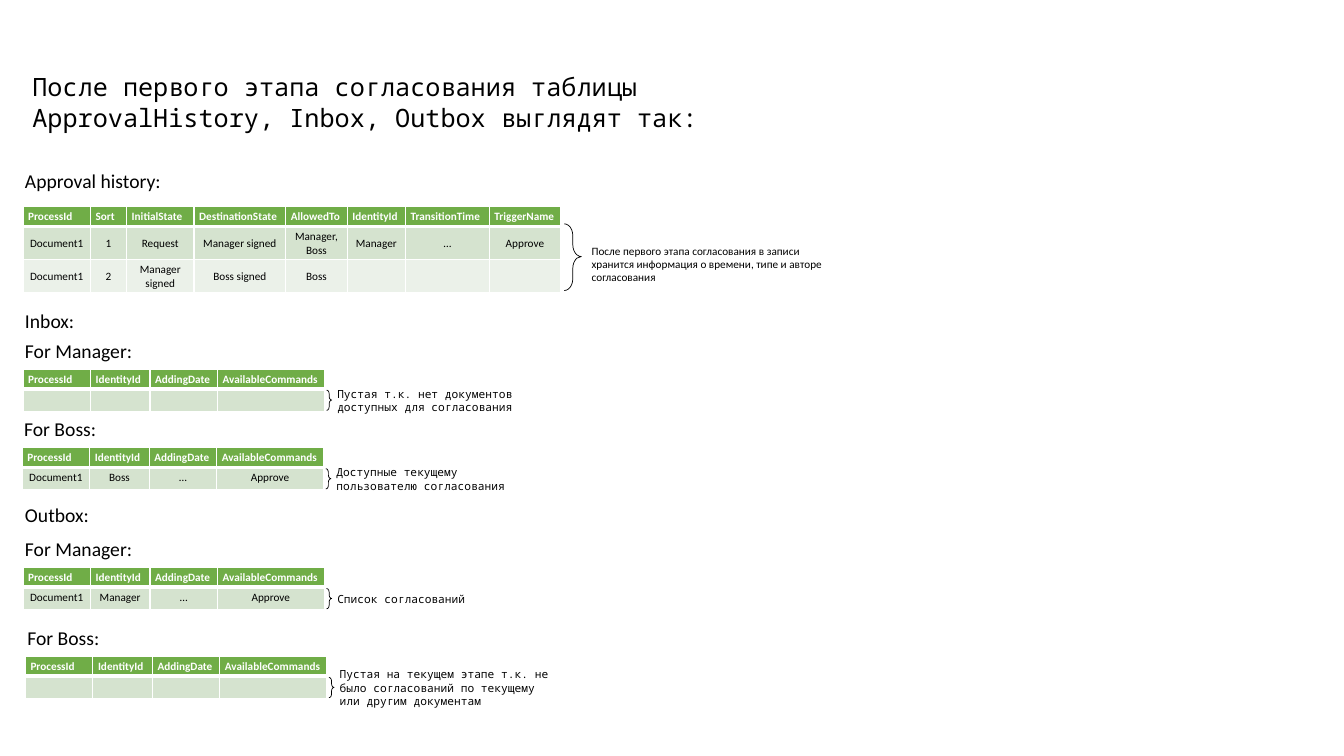
"""Builds the slide showing the approval tables after the first approval stage."""
import dataclasses

import lxml.etree
import pptx
import pptx.dml.color
import pptx.enum.shapes
import pptx.enum.text
import pptx.oxml.ns
import pptx.util

Cm = pptx.util.Cm
Pt = pptx.util.Pt
Anchor = pptx.enum.text.MSO_ANCHOR
Align = pptx.enum.text.PP_ALIGN

TITLE = "После первого этапа согласования таблицы ApprovalHistory, Inbox, Outbox выглядят так: "

HEADINGS = [
    ("Approval history:", 0.38, 4.14, 3.96),
    ("Inbox:", 0.38, 7.65, 1.78),
    ("Outbox:", 0.38, 12.55, 2.13),
]

HISTORY_ROWS = [
    ["ProcessId", "Sort", "InitialState", "DestinationState",
     "AllowedTo", "IdentityId", "TransitionTime", "TriggerName"],
    ["Document1", "1", "Request", "Manager signed", "Manager, Boss", "Manager", "…", "Approve"],
    ["Document1", "2", "Manager signed", "Boss signed", "Boss", "", "", ""],
]
HISTORY_WIDTHS = [1.7, 0.91, 1.7, 2.31, 1.55, 1.47, 2.11, 1.8]
HISTORY_NOTE = ("После первого этапа согласования в записи хранится информация "
                "о времени, типе и авторе согласования")

BOX_HEADER = ["ProcessId", "IdentityId", "AddingDate", "AvailableCommands"]
BOX_WIDTHS = [1.7, 1.5, 1.7, 2.69]
EMPTY_ROW = [""] * 4

BOXES = [
    {"label": "For Manager:", "label_width": 3.25, "left": 0.58, "top": 9.3, "row": EMPTY_ROW,
     "note": "Пустая т.к. нет документов доступных для согласования",
     "note_width": 6.2, "note_lines": 2},
    {"label": "For Boss:", "label_width": 2.34, "left": 0.56, "top": 11.28,
     "row": ["Document1", "Boss", "…", "Approve"],
     "note": "Доступные текущему пользователю согласования",
     "note_width": 5.28, "note_lines": 2},
    {"label": "For Manager:", "label_width": 3.25, "left": 0.58, "top": 14.3,
     "row": ["Document1", "Manager", "…", "Approve"],
     "note": "Список согласований",
     "note_width": 4.14, "note_lines": 1},
    {"label": "For Boss:", "label_width": 2.34, "left": 0.64, "top": 16.54, "row": EMPTY_ROW,
     "note": "Пустая на текущем этапе т.к. не было согласований по текущему или другим документам",
     "note_width": 5.97, "note_lines": 3},
]


def rgb(value):
    """Return the colour for a hexadecimal value."""
    return pptx.dml.color.RGBColor.from_string(value)


@dataclasses.dataclass(frozen=True)
class Theme:
    """Colours, fonts and type sizes of the slide."""
    ink: str = "000000"
    paper: str = "FFFFFF"
    header: str = "70AD47"
    bands: tuple = ("D5E3CF", "EBF1E9")
    sans: str = "Calibri"
    mono: str = "Noto Sans Mono"
    title_size: int = 18
    heading_size: int = 14
    small_size: int = 8


THEME = Theme()


def write(paragraph, text, font, size, color=THEME.ink, bold=False):
    """Add one formatted run to a paragraph."""
    run = paragraph.add_run()
    run.text = text
    run.font.name = font
    run.font.size = Pt(size)
    run.font.bold = bold
    run.font.color.rgb = rgb(color)


def add_text(slide, text, left, top, width, height, font, size, wrap=True):
    """Add a text box holding one run."""
    box = slide.shapes.add_textbox(Cm(left), Cm(top), Cm(width), Cm(height))
    box.text_frame.word_wrap = wrap
    box.text_frame.auto_size = pptx.enum.text.MSO_AUTO_SIZE.SHAPE_TO_FIT_TEXT
    write(box.text_frame.paragraphs[0], text, font, size)


def add_heading(slide, text, left, top, width):
    """Add a one-line heading above a table."""
    add_text(slide, text, left, top, width, 0.86, THEME.sans, THEME.heading_size, wrap=False)


def add_brace(slide, left, top, width, height):
    """Add a brace that opens towards the table on its left."""
    brace = slide.shapes.add_shape(pptx.enum.shapes.MSO_SHAPE.LEFT_BRACE,
                                   Cm(left), Cm(top), Cm(width), Cm(height))
    brace.rotation = 180
    brace.adjustments[0] = 0.69
    brace.adjustments[1] = 0.51
    brace.shadow.inherit = False
    brace.fill.background()
    brace.line.color.rgb = rgb(THEME.ink)
    brace.line.width = Pt(0.5)


def add_borders(cell, is_header):
    """Draw the borders of a cell, heavier between header and body."""
    properties = cell._tc.get_or_add_tcPr()
    heavy_side = "B" if is_header else "T"
    for side in "LRTB":
        width = Pt(3) if side == heavy_side else Pt(1)
        line = lxml.etree.SubElement(properties, pptx.oxml.ns.qn(f"a:ln{side}"), w=str(width))
        fill = lxml.etree.SubElement(line, pptx.oxml.ns.qn("a:solidFill"))
        lxml.etree.SubElement(fill, pptx.oxml.ns.qn("a:srgbClr"), val=THEME.paper)


def fill_cell(cell, text, row_index, body_anchor):
    """Format a table cell and write its text."""
    is_header = row_index == 0
    if row_index < 2:
        add_borders(cell, is_header)
    cell.fill.solid()
    cell.fill.fore_color.rgb = rgb(THEME.header if is_header else THEME.bands[row_index - 1])
    cell.margin_left = cell.margin_right = Cm(0.13)
    cell.margin_top = cell.margin_bottom = Cm(0.08)
    cell.vertical_anchor = Anchor.TOP if is_header else body_anchor
    paragraph = cell.text_frame.paragraphs[0]
    paragraph.alignment = Align.LEFT if is_header else Align.CENTER
    if text:
        color = THEME.paper if is_header else THEME.ink
        write(paragraph, text, THEME.sans, THEME.small_size, color, is_header)
    else:
        paragraph._p.get_or_add_endParaRPr().set("sz", str(THEME.small_size * 100))


def add_grid(slide, rows, widths, left, top, body_anchor):
    """Add a table with a header row and banded body rows."""
    heights = [0.33] + [0.56] * (len(rows) - 1)
    table = slide.shapes.add_table(len(rows), len(widths), Cm(left), Cm(top),
                                   Cm(sum(widths)), Cm(sum(heights))).table
    for column, width in zip(table.columns, widths):
        column.width = Cm(width)
    for row_index, (row, height) in enumerate(zip(rows, heights)):
        table.rows[row_index].height = Cm(height)
        for column_index, text in enumerate(row):
            fill_cell(table.cell(row_index, column_index), text, row_index, body_anchor)


def add_title(slide):
    """Place and format the title."""
    title = slide.shapes.title
    title.left, title.top, title.width, title.height = Cm(0.56), Cm(1.68), Cm(18.97), Cm(1.8)
    frame = title.text_frame
    frame.word_wrap = True
    frame.auto_size = pptx.enum.text.MSO_AUTO_SIZE.SHAPE_TO_FIT_TEXT
    frame.vertical_anchor = Anchor.TOP
    frame.paragraphs[0].alignment = Align.LEFT
    write(frame.paragraphs[0], TITLE, THEME.mono, THEME.title_size)


def add_box(slide, box):
    """Add a labelled inbox or outbox table with its brace and note."""
    left, top = box["left"], box["top"]
    add_heading(slide, box["label"], left - 0.2, top - 0.89, box["label_width"])
    add_grid(slide, [BOX_HEADER, box["row"]], BOX_WIDTHS, left, top, Anchor.TOP)
    add_brace(slide, left + 7.65, top + 0.53, 0.13, 0.51)
    note_height = 0.27 + 0.33 * box["note_lines"]
    add_text(slide, box["note"], left + 7.67, top + 0.79 - note_height / 2,
             box["note_width"], note_height, THEME.mono, THEME.small_size)


def main():
    """Build and save the presentation."""
    presentation = pptx.Presentation()
    presentation.slide_width, presentation.slide_height = Cm(33.87), Cm(19.05)
    slide = presentation.slides.add_slide(presentation.slide_layouts.get_by_name("Title Only"))
    add_title(slide)
    for heading in HEADINGS:
        add_heading(slide, *heading)
    add_grid(slide, HISTORY_ROWS, HISTORY_WIDTHS, 0.58, 5.21, Anchor.MIDDLE)
    add_brace(slide, 14.22, 5.64, 0.43, 1.68)
    add_text(slide, HISTORY_NOTE, 14.66, 6.02, 6.55, 1.27, THEME.sans, THEME.small_size)
    for box in BOXES:
        add_box(slide, box)
    presentation.save("out.pptx")


if __name__ == "__main__":
    main()
